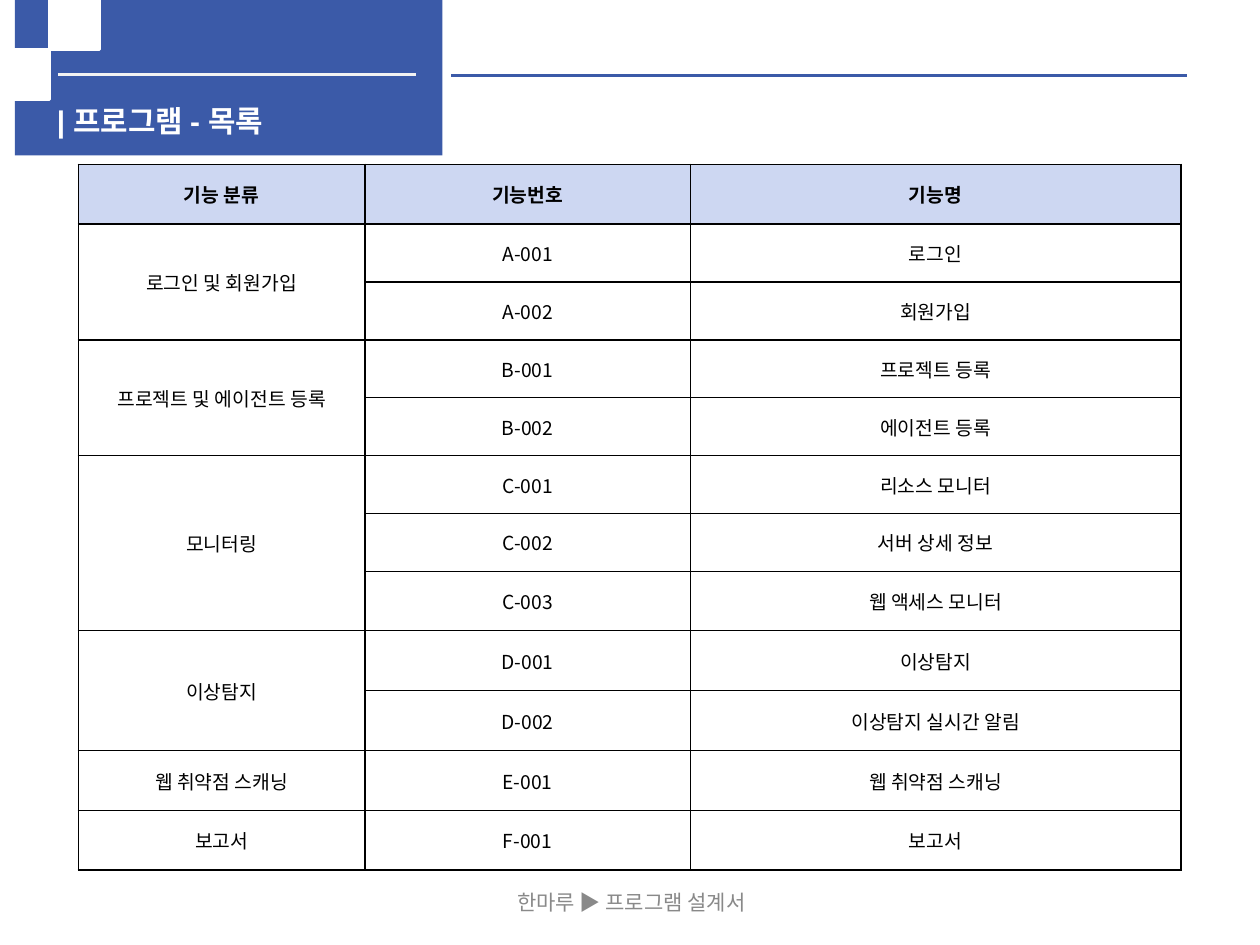
from dataclasses import dataclass
from math import cos, pi, sin

from lxml import etree
from pptx import Presentation
from pptx.dml.color import RGBColor
from pptx.enum.shapes import MSO_CONNECTOR, MSO_SHAPE
from pptx.enum.text import MSO_ANCHOR, MSO_AUTO_SIZE, PP_ALIGN
from pptx.oxml.ns import qn
from pptx.util import Cm, Pt

STRAIGHT = MSO_CONNECTOR.STRAIGHT
RECTANGLE = MSO_SHAPE.RECTANGLE
TOP, MIDDLE = MSO_ANCHOR.TOP, MSO_ANCHOR.MIDDLE
LEFT, CENTER = PP_ALIGN.LEFT, PP_ALIGN.CENTER
NO_AUTOFIT = MSO_AUTO_SIZE.NONE

BLUE = RGBColor(0x3B, 0x5A, 0xA8)
HEADER_BLUE = RGBColor(0xC0, 0xCD, 0xEF)
WHITE = RGBColor(0xFF, 0xFF, 0xFF)
PALE = RGBColor(0xF2, 0xF2, 0xF2)
GREY = RGBColor(0x89, 0x89, 0x89)
BLACK = RGBColor(0, 0, 0)

KOREAN_FONT = "Noto Sans CJK KR"
TITLE_FONT = "Arial"
HEADER_ALPHA = "79000"


@dataclass
class Rule:
    start: float
    end: float
    y: float
    color: RGBColor


@dataclass
class Category:
    name: str
    code: str
    functions: list[str]


RULES = [Rule(1.17, 8.38, 1.5, PALE), Rule(9.09, 23.9, 1.52, BLUE)]
HEADINGS = ["기능 분류", "기능번호", "기능명"]
CATEGORIES = [
    Category("로그인 및 회원가입", "A", ["로그인", "회원가입"]),
    Category("프로젝트 및 에이전트 등록", "B", ["프로젝트 등록", "에이전트 등록"]),
    Category("모니터링", "C", ["리소스 모니터", "서버 상세 정보", "웹 액세스 모니터"]),
    Category("이상탐지", "D", ["이상탐지", "이상탐지 실시간 알림"]),
    Category("웹 취약점 스캐닝", "E", ["웹 취약점 스캐닝"]),
    Category("보고서", "F", ["보고서"]),
]
COLUMN_WIDTHS = [5.77, 6.55, 9.88]
ROW_HEIGHTS = [1.2] + [1.165] * 6 + [1.19] + [1.21] * 2 + [1.2] * 2


def write_text(frame, text: str, font: str, size: float, color: RGBColor,
               bold: bool = False, align=CENTER) -> None:
    frame.text = text
    paragraph = frame.paragraphs[0]
    paragraph.alignment = align
    span = paragraph.runs[0]
    span.font.name = font
    span.font.size = Pt(size)
    span.font.bold = bold
    span.font.color.rgb = color
    east_asian = etree.SubElement(span.font._element, qn("a:ea"))
    east_asian.set("typeface", KOREAN_FONT)


def draw_rule(page, rule: Rule) -> None:
    line = page.shapes.add_connector(
        STRAIGHT, Cm(rule.start), Cm(rule.y), Cm(rule.end), Cm(rule.y))
    line.line.color.rgb = rule.color
    line.line.width = Pt(2.25)
    etree.SubElement(line._element.spPr, qn("a:effectLst"))


def draw_quarter_ring(page, center: float, outer: float, inner: float) -> None:
    steps = 30
    angles = [pi / 2 * step / steps for step in range(steps + 1)]
    points = [(center + radius * cos(angle), center + radius * sin(angle))
              for radius, sweep in ((outer, angles), (inner, angles[::-1]))
              for angle in sweep]
    builder = page.shapes.build_freeform(*points[0], scale=Cm(1))
    builder.add_line_segments(points[1:], close=True)
    ring = builder.convert_to_shape()
    ring.shadow.inherit = False
    ring.fill.solid()
    ring.fill.fore_color.rgb = WHITE
    ring.line.color.rgb = WHITE
    ring.line.width = Pt(2)


def add_borders(cell) -> None:
    properties = cell._tc.get_or_add_tcPr()
    for position, side in enumerate(("lnL", "lnR", "lnT", "lnB")):
        border = etree.Element(qn(f"a:{side}"), w=str(Pt(1)))
        fill = etree.SubElement(border, qn("a:solidFill"))
        etree.SubElement(fill, qn("a:srgbClr"), val=str(BLACK))
        properties.insert(position, border)


def format_cell(cell, text: str, header: bool) -> None:
    cell.vertical_anchor = MIDDLE
    if header:
        cell.fill.solid()
        cell.fill.fore_color.rgb = HEADER_BLUE
        color = cell._tc.tcPr.find(".//" + qn("a:srgbClr"))
        etree.SubElement(color, qn("a:alpha"), val=HEADER_ALPHA)
    else:
        cell.fill.background()
    add_borders(cell)
    if text:
        write_text(cell.text_frame, text, KOREAN_FONT, 11, BLACK, bold=header)


def draw_table(page) -> None:
    rows = [HEADINGS]
    merges = []
    for category in CATEGORIES:
        first = len(rows)
        for number, function in enumerate(category.functions, start=1):
            name = category.name if number == 1 else ""
            rows.append([name, f"{category.code}-{number:03}", function])
        if len(category.functions) > 1:
            merges.append((first, len(rows) - 1))

    table = page.shapes.add_table(
        len(rows), len(HEADINGS), Cm(1.58), Cm(3.31),
        Cm(sum(COLUMN_WIDTHS)), Cm(sum(ROW_HEIGHTS))).table
    table.first_row = False
    table.horz_banding = False
    for column, width in zip(table.columns, COLUMN_WIDTHS):
        column.width = Cm(width)
    for row, height in zip(table.rows, ROW_HEIGHTS):
        row.height = Cm(height)
    for row_index, texts in enumerate(rows):
        for column_index, text in enumerate(texts):
            format_cell(table.cell(row_index, column_index), text, row_index == 0)
    for first, last in merges:
        table.cell(first, 0).merge(table.cell(last, 0))


def main() -> None:
    deck = Presentation()
    deck.slide_width, deck.slide_height = Cm(25.37), Cm(19.02)
    page = deck.slides.add_slide(deck.slide_layouts.get_by_name("Title Only"))
    title = page.shapes.title

    # Footer
    footer = page.shapes.add_textbox(Cm(8.69), Cm(17.65), Cm(8.05), Cm(1.02))
    footer.text_frame.word_wrap = True
    footer.text_frame.vertical_anchor = MIDDLE
    write_text(footer.text_frame, "한마루 ▶ 프로그램 설계서", KOREAN_FONT, 12, GREY)

    # Title banner with its ring and rules
    banner = page.shapes.add_shape(RECTANGLE, Cm(0.3), Cm(0), Cm(8.61), Cm(3.13))
    banner.shadow.inherit = False
    banner.fill.solid()
    banner.fill.fore_color.rgb = BLUE
    banner.line.fill.background()
    for rule in RULES:
        draw_rule(page, rule)
    draw_quarter_ring(page, center=0.03, outer=1.63, inner=0.82)

    # Title, brought in front of the banner
    page.shapes._spTree.append(title._element)
    title.left, title.top, title.width, title.height = (
        Cm(0.89), Cm(1.93), Cm(7.8), Cm(0.81))
    title.text_frame.auto_size = NO_AUTOFIT
    title.text_frame.vertical_anchor = TOP
    write_text(title.text_frame, "| 프로그램 - 목록", TITLE_FONT, 17, WHITE,
               bold=True, align=LEFT)

    # Function list
    draw_table(page)

    deck.save("out.pptx")


if __name__ == "__main__":
    main()
